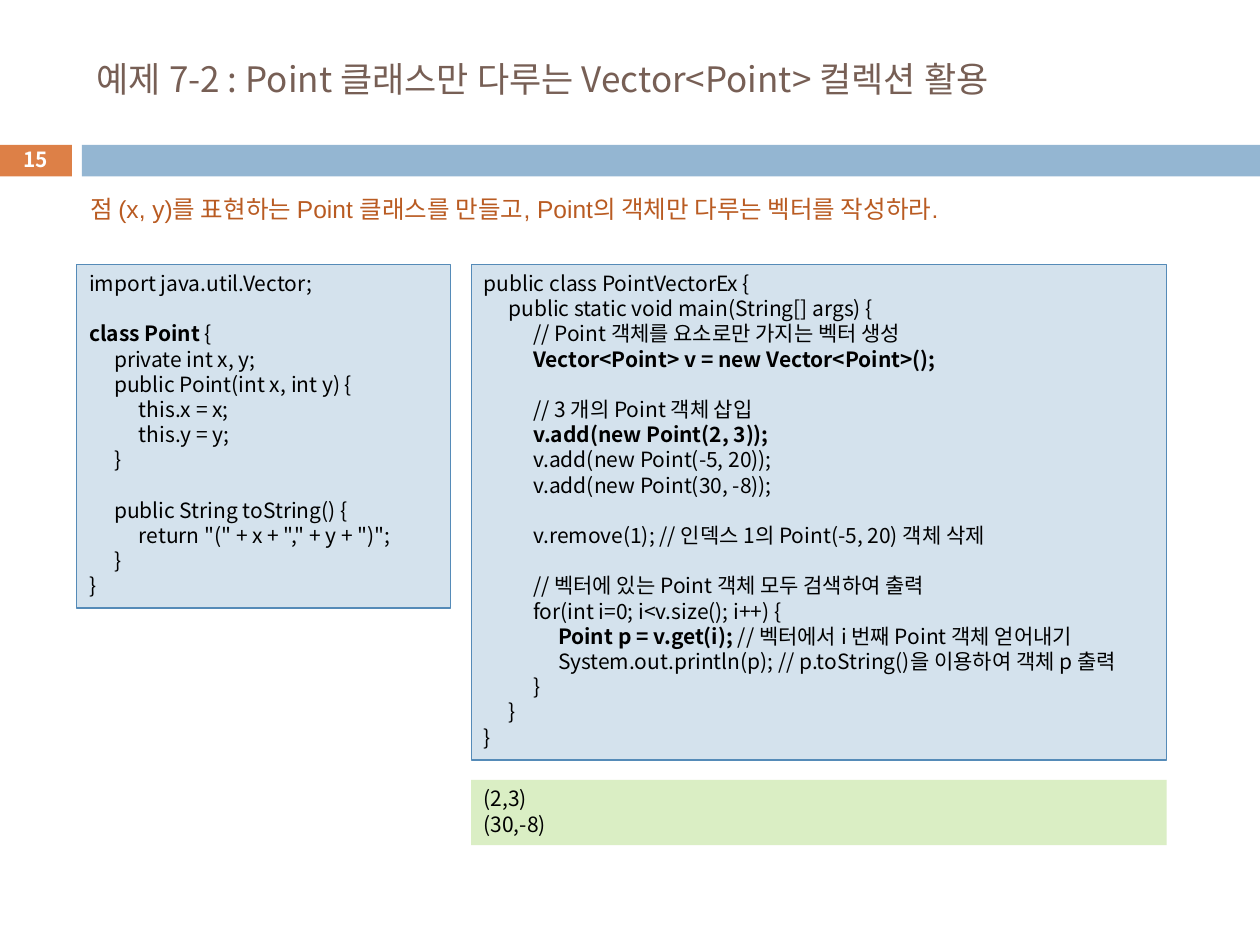
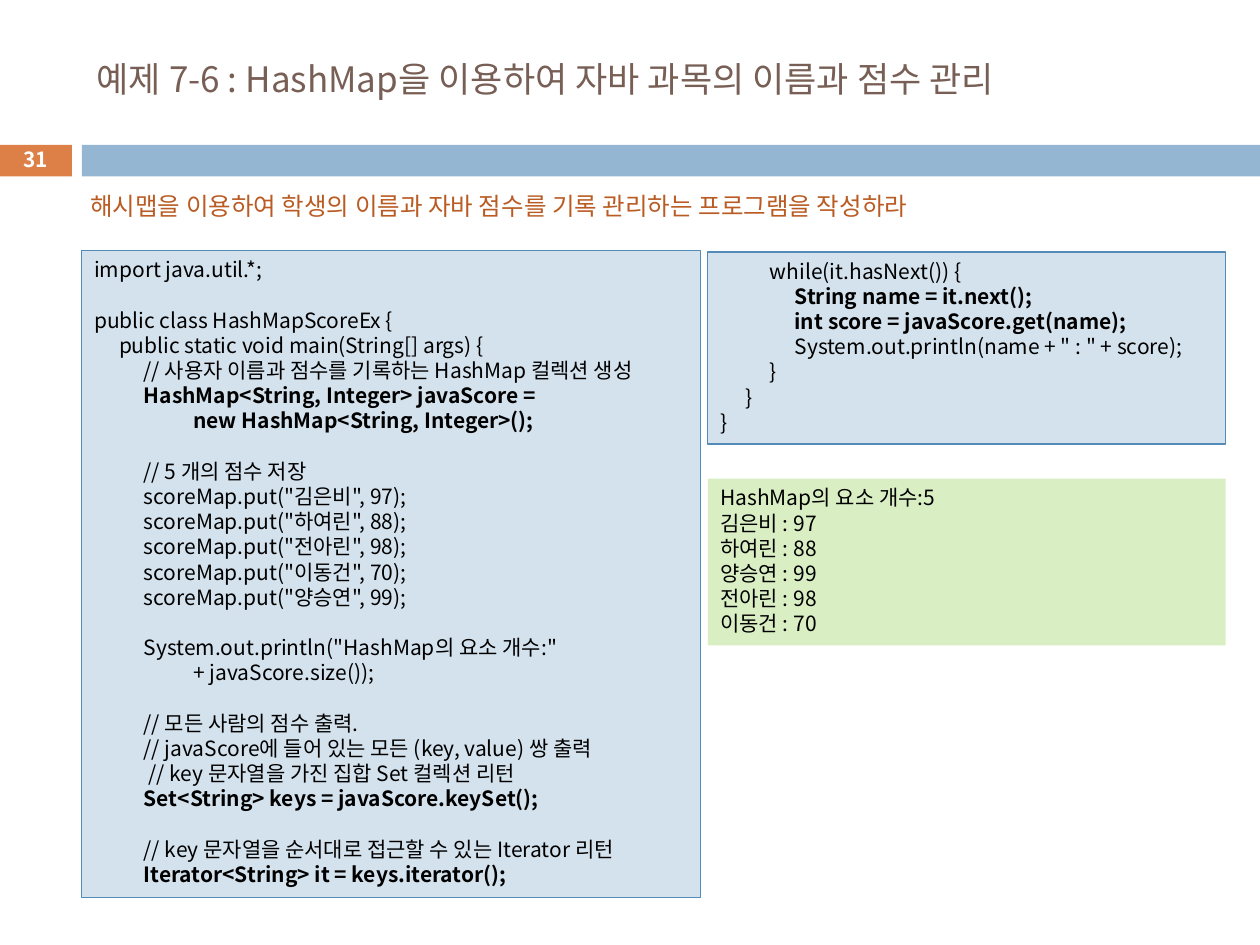
import dataclasses

import lxml.etree
import pptx
import pptx.dml.color
import pptx.enum.shapes
import pptx.enum.text
import pptx.oxml.ns
import pptx.util

Cm, Pt = pptx.util.Cm, pptx.util.Pt

# In the listings, four leading spaces are one tab and **…** is bold.
POINT_CLASS = """\
import java.util.Vector;

**class Point **{
    private int x, y;
    public Point(int x, int y) {
        this.x = x;
        this.y = y;
    }

    public String toString() {
        return "(" + x + "," + y + ")";
    }
}"""

POINT_MAIN = """\
public class PointVectorEx {
    public static void main(String[] args) {
        // Point 객체를 요소로만 가지는 벡터 생성
        **Vector<Point> v = new Vector<Point>();**

        // 3 개의 Point 객체 삽입
        **v.add(new Point(2, 3));**
        v.add(new Point(-5, 20));
        v.add(new Point(30, -8));

        v.remove(1); // 인덱스 1의 Point(-5, 20) 객체 삭제

        // 벡터에 있는 Point 객체 모두 검색하여 출력
        for(int i=0; i<v.size(); i++) {
            **Point p = v.get(i);** // 벡터에서 i 번째 Point 객체 얻어내기
            System.out.println(p); // p.toString()을 이용하여 객체 p 출력
        }
    }
}"""

POINT_OUTPUT = """\
(2,3)
(30,-8)"""

SCORE_START = """\
import java.util.*;

public class HashMapScoreEx {
    public static void main(String[] args) {
        // 사용자 이름과 점수를 기록하는 HashMap 컬렉션 생성
        **HashMap<String, Integer> javaScore =**
                **new HashMap<String, Integer>();**

        // 5 개의 점수 저장
        scoreMap.put("김은비", 97);
        scoreMap.put("하여린", 88);
        scoreMap.put("전아린", 98);
        scoreMap.put("이동건", 70);
        scoreMap.put("양승연", 99);

        System.out.println("HashMap의 요소 개수:"
                + javaScore.size());

        // 모든 사람의 점수 출력.
        // javaScore에 들어 있는 모든 (key, value) 쌍 출력
         // key 문자열을 가진 집합 Set 컬렉션 리턴
        **Set<String> keys = javaScore.keySet();**

        // key 문자열을 순서대로 접근할 수 있는 Iterator 리턴
        **Iterator<String> it = keys.iterator();**"""

SCORE_LOOP = """\
        while(it.hasNext()) {
            **String name = it.next();**
            **int score = javaScore.get(name);**
            System.out.println(name + " : " + score);
        }
    }
}"""

SCORE_OUTPUT = """\
HashMap의 요소 개수:5
김은비 : 97
하여린 : 88
양승연 : 99
전아린 : 98
이동건 : 70"""

# Each panel: kind, left, top, width (cm), text; the height follows from the lines.
PAGES = [
    {
        "number": "15",
        "title": "예제 7-2 : Point 클래스만 다루는 Vector<Point> 컬렉션 활용",
        "task": "점 (x, y)를 표현하는 Point 클래스를 만들고, Point의 객체만 다루는 벡터를 작성하라.",
        "task_top": 3.78,
        "panels": [
            ("code", 1.55, 5.33, 7.54, POINT_CLASS),
            ("output", 9.5, 15.72, 14.02, POINT_OUTPUT),
            ("code", 9.5, 5.33, 14.02, POINT_MAIN),
        ],
    },
    {
        "number": "31",
        "title": "예제 7-6 : HashMap을 이용하여 자바 과목의 이름과 점수 관리",
        "task": "해시맵을 이용하여 학생의 이름과 자바 점수를 기록 관리하는 프로그램을 작성하라",
        "task_top": 3.73,
        "panels": [
            ("code", 1.65, 5.05, 12.47, SCORE_START),
            ("output", 14.27, 9.65, 10.44, SCORE_OUTPUT),
            ("code", 14.27, 5.08, 10.44, SCORE_LOOP),
        ],
    },
]


@dataclasses.dataclass(frozen=True)
class Theme:
    title: str = "775F55"
    task: str = "B95B22"
    number: str = "FFFFFF"
    code: str = "000000"
    number_band: str = "DD8047"
    wide_band: str = "94B6D2"
    code_fill: str = "D4E2ED"
    code_line: str = "558BB8"
    output_fill: str = "DAEEC4"
    font: str = "Noto Sans CJK KR"
    task_font: str = "Arial"
    title_size: float = 20
    task_size: float = 14
    code_size: float = 12
    number_size: float = 11.9
    line_pitch: float = 14.4


THEME = Theme()
BAND_TOP, BAND_HEIGHT = 2.92, 0.64
LINE_HEIGHT, PANEL_PADDING = 0.51, 0.3
TAB_STEP, TAB_COUNT = 0.5, 4


def rgb(value):
    return pptx.dml.color.RGBColor.from_string(value)


def format_span(span, size, color, bold=False, font=THEME.font):
    span.font.name = font
    span.font.size = Pt(size)
    span.font.bold = bold
    span.font.color.rgb = rgb(color)
    latin = span.font._element.find(pptx.oxml.ns.qn("a:latin"))
    east_asian = lxml.etree.Element(pptx.oxml.ns.qn("a:ea"), typeface=THEME.font)
    latin.addnext(east_asian)


def add_rectangle(page, left, top, width, height, fill, line=None):
    box = page.shapes.add_shape(
        pptx.enum.shapes.MSO_SHAPE.RECTANGLE, Cm(left), Cm(top), Cm(width), Cm(height))
    box.shadow.inherit = False
    box.fill.solid()
    box.fill.fore_color.rgb = rgb(fill)
    if line:
        box.line.color.rgb = rgb(line)
        box.line.width = Pt(0.75)
    else:
        box.line.fill.background()
    return box


def add_label(page, left, top, width, height, text, size, color,
              bold=False, font=THEME.font, middle=False, align=None):
    box = page.shapes.add_textbox(Cm(left), Cm(top), Cm(width), Cm(height))
    frame = box.text_frame
    frame.word_wrap = True
    if middle:
        frame.vertical_anchor = pptx.enum.text.MSO_ANCHOR.MIDDLE
    frame.text = text
    para = frame.paragraphs[0]
    para.alignment = align
    format_span(para.runs[0], size, color, bold, font)


def add_tab_stops(para):
    tabs = lxml.etree.SubElement(para._p.get_or_add_pPr(), pptx.oxml.ns.qn("a:tabLst"))
    for stop in range(1, TAB_COUNT + 1):
        lxml.etree.SubElement(tabs, pptx.oxml.ns.qn("a:tab"),
                              pos=str(Cm(TAB_STEP * stop)), algn="l")


def write_line(para, line):
    """Turn indents into tabs and the ** marks into bold runs."""
    para.alignment = pptx.enum.text.PP_ALIGN.LEFT
    para.line_spacing = Pt(THEME.line_pitch)
    add_tab_stops(para)
    code = line.lstrip(" ")
    level, rest = divmod(len(line) - len(code), 4)
    marked = "\t" * level + " " * rest + code
    for index, part in enumerate(marked.split("**")):
        if part:
            span = para.add_run()
            span.text = part
            format_span(span, THEME.code_size, THEME.code, bold=index % 2 == 1)


def add_panel(page, kind, left, top, width, text):
    lines = text.split("\n")
    height = LINE_HEIGHT * len(lines) + PANEL_PADDING
    colors = {"code": (THEME.code_fill, THEME.code_line),
              "output": (THEME.output_fill, None)}
    box = add_rectangle(page, left, top, width, height, *colors[kind])
    frame = box.text_frame
    frame.word_wrap = True
    frame.vertical_anchor = pptx.enum.text.MSO_ANCHOR.TOP
    for index, line in enumerate(lines):
        para = frame.add_paragraph() if index else frame.paragraphs[0]
        write_line(para, line)


def add_page(deck, content):
    page = deck.slides.add_slide(deck.slide_layouts[6])
    add_rectangle(page, -0.02, BAND_TOP, 1.47, BAND_HEIGHT, THEME.number_band)
    add_rectangle(page, 1.65, BAND_TOP, 23.75, BAND_HEIGHT, THEME.wide_band)
    add_label(page, 1.7, 0.64, 22.66, 1.88, content["title"],
              THEME.title_size, THEME.title, middle=True)
    add_label(page, -0.02, 2.87, 1.47, 0.69, content["number"],
              THEME.number_size, THEME.number, bold=True, middle=True,
              align=pptx.enum.text.PP_ALIGN.CENTER)
    add_label(page, 1.57, content["task_top"], 22.12, 0.86, content["task"],
              THEME.task_size, THEME.task, font=THEME.task_font)
    for panel in content["panels"]:
        add_panel(page, *panel)


def main():
    deck = pptx.Presentation()
    deck.slide_width, deck.slide_height = Cm(25.4), Cm(19.05)
    for content in PAGES:
        add_page(deck, content)
    deck.save("out.pptx")


if __name__ == "__main__":
    main()
